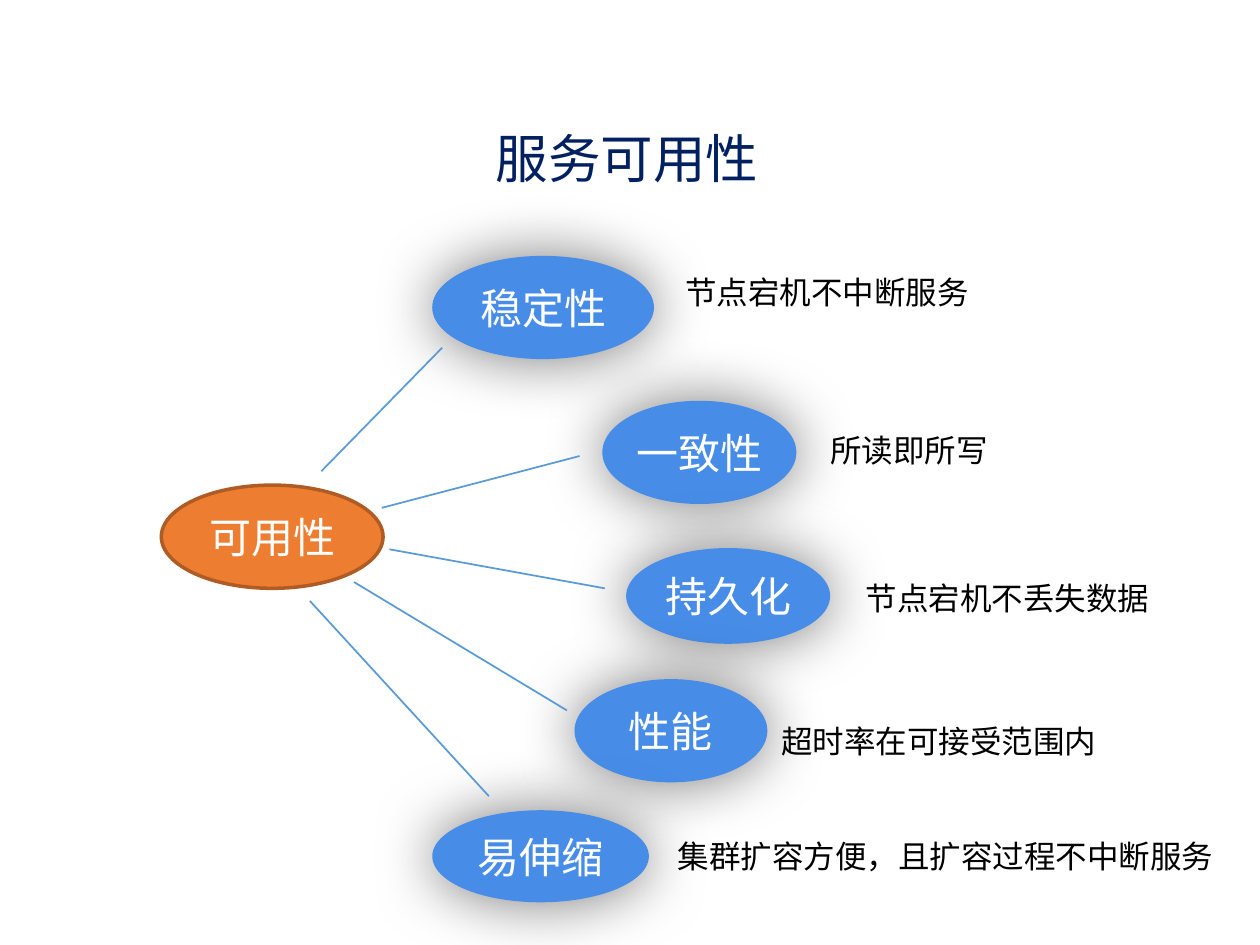
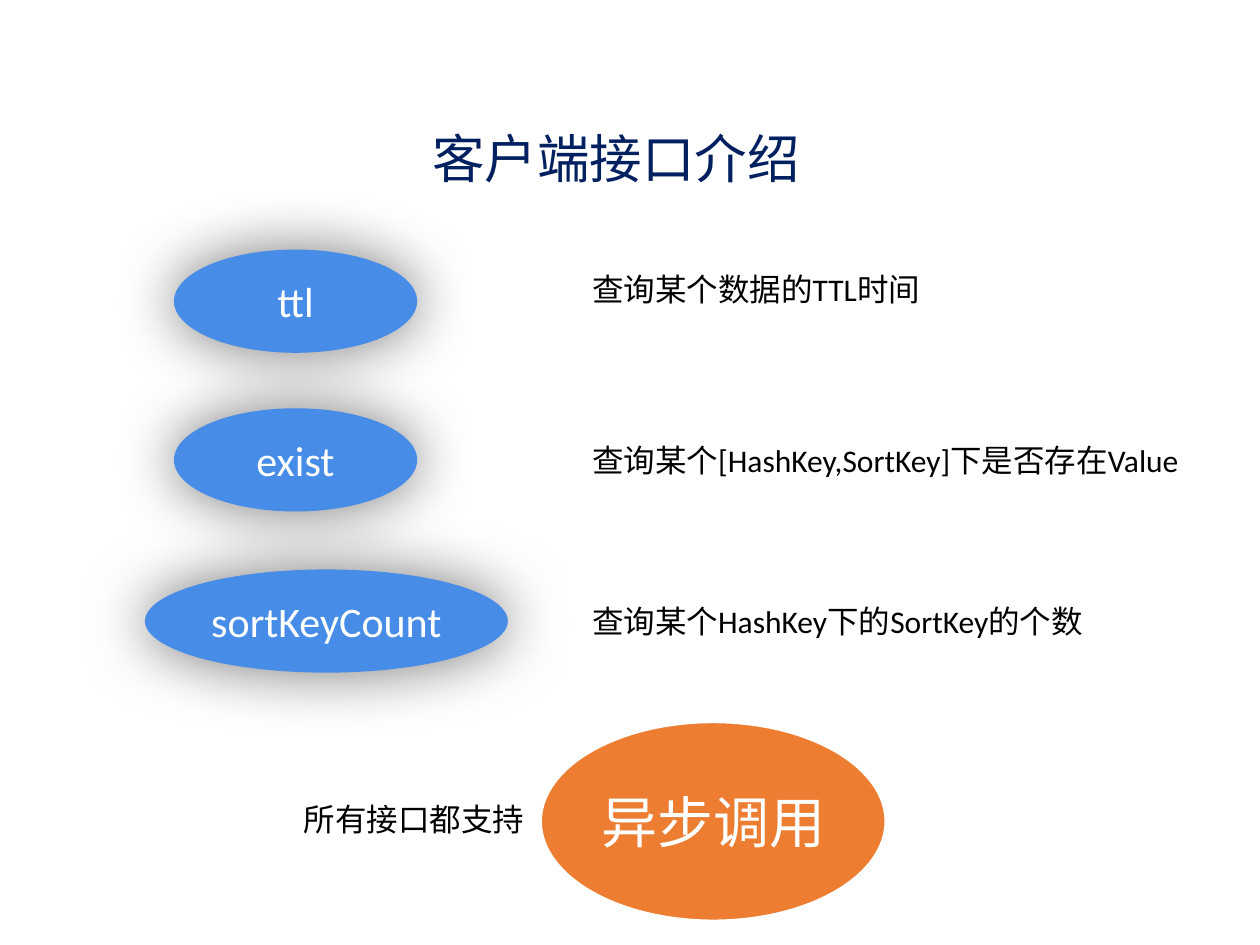
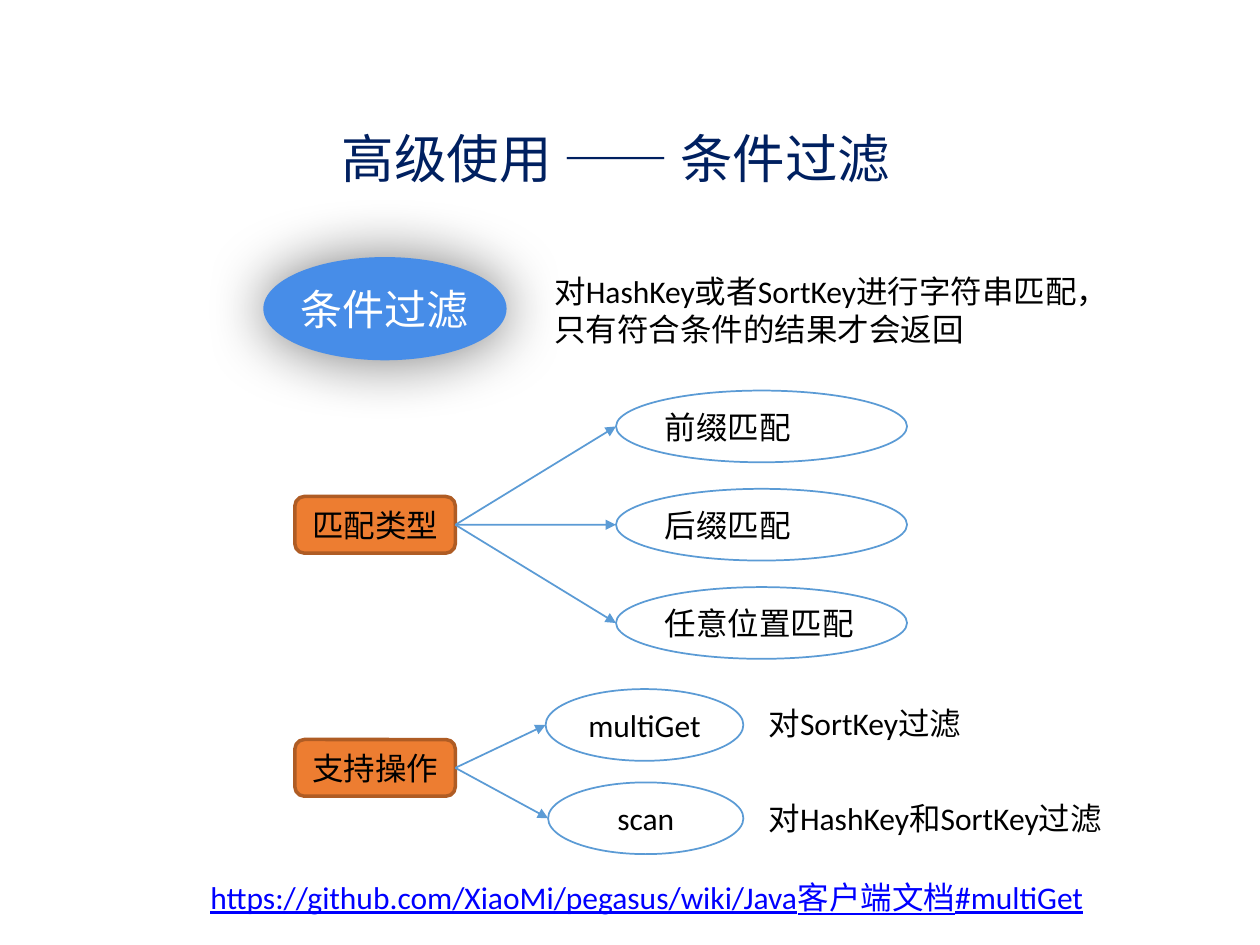
"""Build three slides on service availability, client interfaces and condition filtering."""
import pptx
import pptx.dml.color
import pptx.enum.shapes
import pptx.enum.text
import pptx.oxml
import pptx.oxml.ns
import pptx.util

Pt = pptx.util.Pt
RGBColor = pptx.dml.color.RGBColor
PRESET = pptx.enum.shapes.MSO_SHAPE
ALIGN = pptx.enum.text.PP_ALIGN
ANCHOR = pptx.enum.text.MSO_ANCHOR

NAVY = RGBColor(0x00, 0x20, 0x60)
BLUE = RGBColor(0x47, 0x8D, 0xE8)
SKY = RGBColor(0x5B, 0x9B, 0xD5)
ORANGE = RGBColor(0xED, 0x7D, 0x31)
RUST = RGBColor(0xAF, 0x5C, 0x24)
WHITE = RGBColor(0xFF, 0xFF, 0xFF)
BLACK = RGBColor(0x00, 0x00, 0x00)
LINK_BLUE = RGBColor(0x00, 0x00, 0xFF)

CJK_FONT = "Noto Sans CJK SC"
LATIN_FONT = "Calibri"
NAMESPACE = pptx.oxml.ns.nsdecls("a")
HALO = (f'<a:effectLst {NAMESPACE}><a:outerShdw blurRad="457200" dist="0" dir="0" '
        'algn="ctr" rotWithShape="0"><a:srgbClr val="000000"><a:alpha val="52000"/>'
        '</a:srgbClr></a:outerShdw></a:effectLst>')


def add_label(slide, box, text, size=18, color=BLACK, align=ALIGN.LEFT, inset=3.6,
              preset=None, fill=WHITE, line=None, line_width=1, underline=None):
    """Add text in a plain box, or in a preset shape that has a halo when it has no line."""
    lengths = [Pt(value) for value in box]
    if preset is None:
        label = slide.shapes.add_textbox(*lengths)
    else:
        label = slide.shapes.add_shape(preset, *lengths)
        label.fill.solid()
        label.fill.fore_color.rgb = fill
        if line is None:
            label.line.fill.background()
            label._element.spPr.append(pptx.oxml.parse_xml(HALO))
        else:
            label.shadow.inherit = False
            label.line.color.rgb = line
            label.line.width = Pt(line_width)
    frame = label.text_frame
    frame.word_wrap = True
    frame.vertical_anchor = ANCHOR.MIDDLE if preset else ANCHOR.TOP
    frame.margin_left = frame.margin_right = Pt(inset)
    frame.margin_top = frame.margin_bottom = Pt(inset)
    for index, words in enumerate(text.split("\n")):
        paragraph = frame.add_paragraph() if index else frame.paragraphs[0]
        paragraph.alignment = align
        run = paragraph.add_run()
        run.text = words
        run.font.size = Pt(size)
        run.font.color.rgb = color
        run.font.underline = underline
        run.font.name = LATIN_FONT
    return label


def add_link(slide, start, end):
    """Add a thin straight line between two points."""
    link = slide.shapes.add_connector(pptx.enum.shapes.MSO_CONNECTOR.STRAIGHT,
                                      *[Pt(value) for value in start + end])
    link.line.color.rgb = SKY
    link.line.width = Pt(1)
    link._element.spPr.append(pptx.oxml.parse_xml(f"<a:effectLst {NAMESPACE}/>"))
    return link


deck = pptx.Presentation()
deck.slide_width, deck.slide_height = Pt(720), Pt(540)

slides = []
for heading, left, width in (("服务可用性", 41.8, 632.9),
                             ("客户端接口介绍", 53.3, 597.6),
                             ("高级使用 —— 条件过滤", 53.3, 597.6)):
    slide = deck.slides.add_slide(deck.slide_layouts[5])
    title = slide.shapes.title
    title.left, title.top, title.width, title.height = Pt(left), Pt(68.4), Pt(width), Pt(43.9)
    frame = title.text_frame
    frame.vertical_anchor = ANCHOR.TOP
    frame.margin_left = frame.margin_right = frame.margin_top = frame.margin_bottom = Pt(3.6)
    frame.paragraphs[0].alignment = ALIGN.CENTER
    run = frame.paragraphs[0].add_run()
    run.text = heading
    run.font.size = Pt(30)
    run.font.color.rgb = NAVY
    run.font.name = CJK_FONT
    slides.append(slide)
availability, interfaces, filtering = slides

oval = dict(preset=PRESET.OVAL, size=24, color=WHITE, align=ALIGN.CENTER, inset=0)
topic = dict(oval, fill=BLUE)

add_label(availability, (92.2, 277.2, 126.7, 59), "可用性", **oval,
          fill=ORANGE, line=RUST, line_width=2)
aspects = (
    ("稳定性", (247, 146.2, 126.7, 59), "节点宕机不中断服务", (388, 152.6, 183),
     (183.6, 269.3), (252.7, 198.7)),
    ("一致性", (344.2, 229, 110.9, 59), "所读即所写", (470.9, 242.6, 112),
     (218.2, 290.2), (331.2, 260.6)),
    ("持久化", (357.8, 313.2, 116.6, 54.7), "节点宕机不丢失数据", (491, 327.6, 184),
     (222.5, 313.9), (345.6, 336.2)),
    ("性能", (328.3, 388.1, 110.2, 59), "超时率在可接受范围内", (442.8, 409, 200),
     (202.3, 332.6), (324, 406)),
    ("易伸缩", (247, 463, 123.8, 52.6), "集群扩容方便，且扩容过程不中断服务", (383.8, 474.5, 316),
     (177.1, 343.4), (279.4, 455)),
)
for aspect, box, meaning, meaning_place, start, end in aspects:
    add_label(availability, box, aspect, **topic)
    add_label(availability, meaning_place + (28.8,), meaning)
    add_link(availability, start, end)

for call, left, top, width, purpose, purpose_top in (
        ("ttl", 99.4, 142.6, 139, "查询某个数据的TTL时间", 150.5),
        ("exist", 99.4, 233.3, 139, "查询某个[HashKey,SortKey]下是否存在Value", 248.4),
        ("sortKeyCount", 82.8, 325.4, 207.4, "查询某个HashKey下的SortKey的个数", 340.6)):
    add_label(interfaces, (left, top, width, 59), call, **topic)
    add_label(interfaces, (334.8, purpose_top, 352, 28.8), purpose)
add_label(interfaces, (308.2, 411.8, 198.7, 115.2), "异步调用", **dict(oval, size=32),
          fill=ORANGE, line=WHITE, line_width=3)
add_label(interfaces, (169.9, 453.6, 138.2, 28.8), "所有接口都支持")

add_label(filtering, (150.5, 146.9, 139, 59), "条件过滤", **topic)
add_label(filtering, (313.2, 152, 388, 51),
          "对HashKey或者SortKey进行字符串匹配，\n只有符合条件的结果才会返回")
match_types = [(name, 352, 223.2 + 56.16 * row, 166.3, ALIGN.LEFT)
               for row, name in enumerate(("前缀匹配", "后缀匹配", "任意位置匹配"))]
operations = [("multiGet", 311.8, 393.8, 113, ALIGN.CENTER),
              ("scan", 313.2, 447.1, 111.6, ALIGN.CENTER)]
for group, group_top, members in (("匹配类型", 283.7, match_types),
                                  ("支持操作", 422.6, operations)):
    hub = add_label(filtering, (168.5, group_top, 91.7, 32.4), group, align=ALIGN.CENTER,
                    preset=PRESET.ROUNDED_RECTANGLE, fill=ORANGE, line=RUST, line_width=2)
    for member, left, top, width, align in members:
        add_label(filtering, (left, top, width, 41), member, align=align,
                  preset=PRESET.OVAL, line=SKY)
        arrow = add_link(filtering, (260.2, group_top + 16.2), (left, top + 20.5))
        arrow.begin_connect(hub, 3)
        arrow.line._get_or_add_ln().append(
            pptx.oxml.parse_xml(f'<a:tailEnd {NAMESPACE} type="triangle"/>'))
for scope, top in (("对SortKey过滤", 398.9), ("对HashKey和SortKey过滤", 452.9)):
    add_label(filtering, (435.6, top, 275.8, 28.8), scope)
add_label(filtering, (116.6, 498.2, 531.4, 28.8),
          "https://github.com/XiaoMi/pegasus/wiki/Java客户端文档#multiGet",
          color=LINK_BLUE, underline=True)

deck.save("out.pptx")
